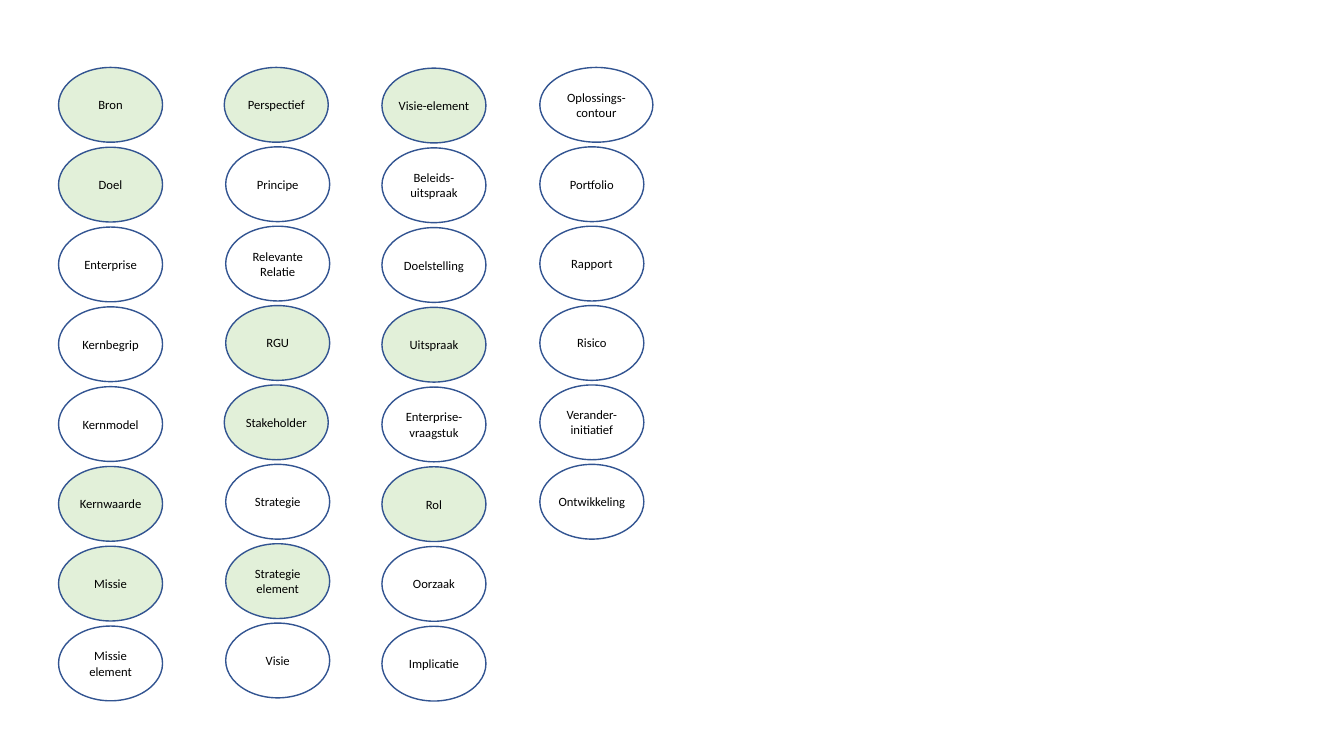
from dataclasses import dataclass

from pptx import Presentation
from pptx.dml.color import RGBColor
from pptx.enum.shapes import MSO_SHAPE
from pptx.enum.text import MSO_ANCHOR, PP_ALIGN
from pptx.slide import Slide
from pptx.util import Pt

GREEN, BLUE, BLACK = "E2F0D9", "325491", "000000"
WIDTH, HEIGHT = 74.3, 53.4


@dataclass
class Concept:
    label: str
    green: bool = False
    shift: float = 0
    width: float = WIDTH


@dataclass
class Column:
    left: float
    top: float
    pitch: float
    concepts: list[Concept]


def color(hex_code: str) -> RGBColor:
    return RGBColor.from_string(hex_code)


def draw_concept(slide: Slide, concept: Concept, left: float, top: float) -> None:
    oval = slide.shapes.add_shape(MSO_SHAPE.OVAL, Pt(left + concept.shift), Pt(top),
                                  Pt(concept.width), Pt(HEIGHT))
    oval.shadow.inherit = False
    if concept.green:
        oval.fill.solid()
        oval.fill.fore_color.rgb = color(GREEN)
    else:
        oval.fill.background()
    oval.line.color.rgb = color(BLUE)
    oval.line.width = Pt(1)

    frame = oval.text_frame
    frame.word_wrap = True
    frame.vertical_anchor = MSO_ANCHOR.MIDDLE
    frame.margin_left = frame.margin_right = frame.margin_top = frame.margin_bottom = 0
    frame.text = concept.label
    for paragraph in frame.paragraphs:
        paragraph.alignment = PP_ALIGN.CENTER
        for run in paragraph.runs:
            run.font.name = "Calibri"
            run.font.size = Pt(9)
            run.font.color.rgb = color(BLACK)


def draw_column(slide: Slide, column: Column) -> None:
    for row, concept in enumerate(column.concepts):
        draw_concept(slide, concept, column.left, column.top + row * column.pitch)


# Concepts by column
COLUMNS = [
    Column(41.8, 48.2, 57, [
        Concept("Bron", green=True),
        Concept("Doel", green=True),
        Concept("Enterprise"),
        Concept("Kernbegrip"),
        Concept("Kernmodel"),
        Concept("Kernwaarde", green=True),
        Concept("Missie", green=True),
        Concept("Missie\nelement"),
    ]),
    Column(161.2, 48.2, 56.7, [
        Concept("Perspectief", green=True, shift=-1),
        Concept("Principe"),
        Concept("Relevante Relatie"),
        Concept("RGU", green=True),
        Concept("Stakeholder", green=True, shift=-1),
        Concept("Strategie"),
        Concept("Strategie element", green=True),
        Concept("Visie"),
    ]),
    Column(272.8, 48.7, 56.95, [
        Concept("Visie-element", green=True),
        Concept("Beleids-uitspraak"),
        Concept("Doelstelling"),
        Concept("Uitspraak", green=True),
        Concept("Enterprise-vraagstuk"),
        Concept("Rol", green=True),
        Concept("Oorzaak"),
        Concept("Implicatie"),
    ]),
    Column(385.6, 48.2, 56.7, [
        Concept("Oplossings-contour", width=80.8),
        Concept("Portfolio"),
        Concept("Rapport"),
        Concept("Risico"),
        Concept("Verander-initiatief"),
        Concept("Ontwikkeling"),
    ]),
]

# Slide
prs = Presentation()
prs.slide_width, prs.slide_height = Pt(960), Pt(540)
slide = prs.slides.add_slide(prs.slide_layouts[6])
for column in COLUMNS:
    draw_column(slide, column)

prs.save("out.pptx")
